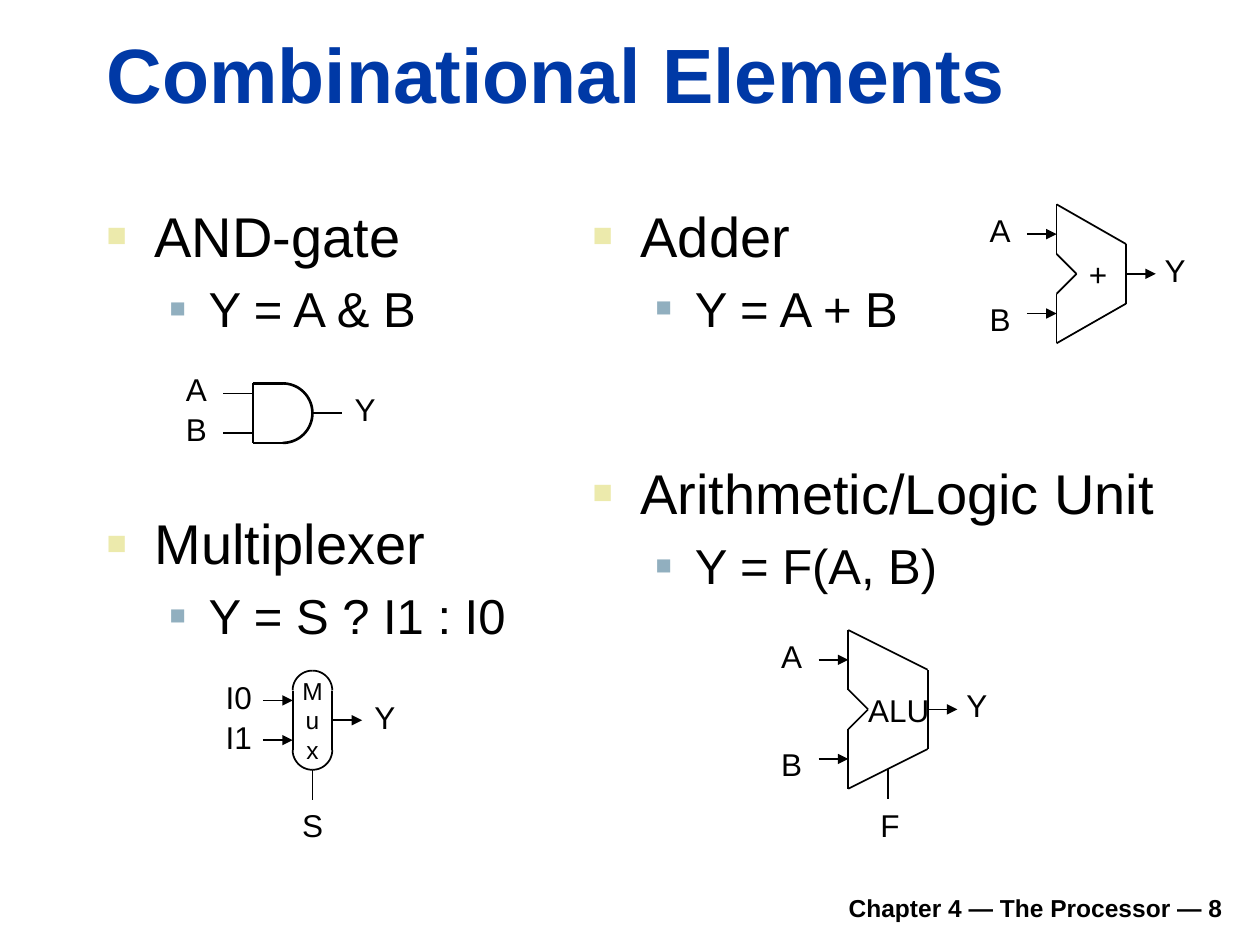
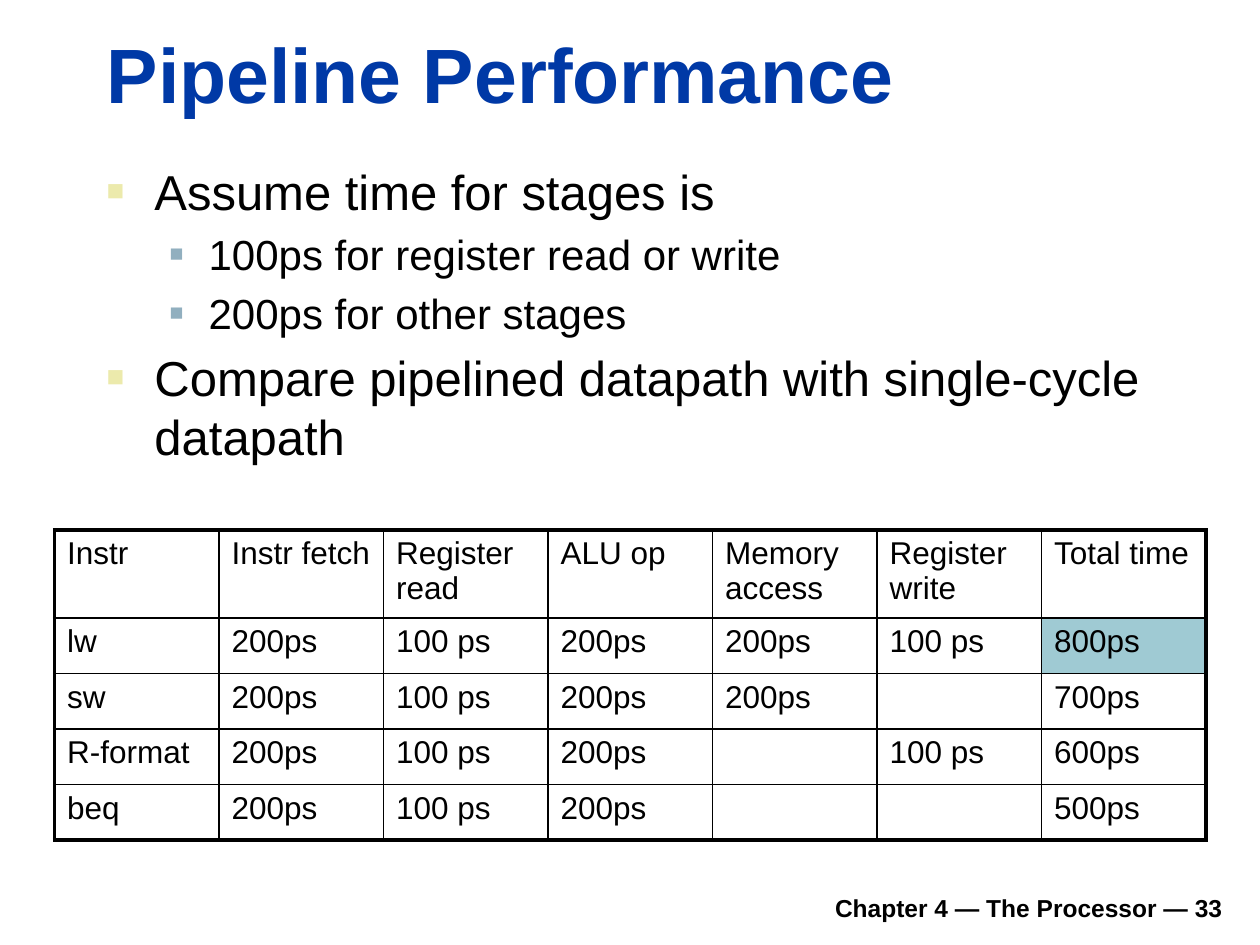
import dataclasses
import math
import typing

import lxml.etree
import pptx
import pptx.dml.color
import pptx.enum.shapes
import pptx.enum.text
import pptx.oxml.ns
import pptx.util

Align = pptx.enum.text.PP_ALIGN
Anchor = pptx.enum.text.MSO_ANCHOR
Point = tuple[float, float]


@dataclasses.dataclass(frozen=True)
class Theme:
    font: str = "Arial"
    ink: str = "000000"
    head: str = "0039A6"
    mark: str = "ECEAAC"
    submark: str = "91AFBF"
    accent: str = "9FCAD3"
    title: float = 44
    large: float = 32
    mid: float = 28
    small: float = 24
    label: float = 18
    note: float = 14
    thin: float = 1
    firm: float = 1.5
    bold: float = 2.25
    gap: float = 0.2


THEME = Theme()


@dataclasses.dataclass(frozen=True)
class Box:
    left: float
    top: float
    width: float
    height: float

    def place(self) -> tuple[int, int, int, int]:
        return cell(self.left), cell(self.top), cell(self.width), cell(self.height)


@dataclasses.dataclass(frozen=True)
class Level:
    indent: float
    hang: float
    tint: str
    share: int


@dataclasses.dataclass(frozen=True)
class Item:
    text: str
    size: float
    level: int = 0


@dataclasses.dataclass(frozen=True)
class Label:
    text: str
    left: float
    top: float
    width: float = 4.7
    inset: bool = True


@dataclasses.dataclass(frozen=True)
class Wire:
    start: Point
    end: Point
    arrow: bool = False
    width: float = THEME.thin


LEVELS = (Level(0.38, 0.38, THEME.mark, 60), Level(0.81, 0.31, THEME.submark, 55))
TITLE = Box(9.5, 2.1, 114.7, 10.54)
FOOTER = Box(23.5, 88.65, 101, 4.95)
LEFT, RIGHT = 9.5, 58.5
GRID = Box(5.5, 53.4, 116.08, 31.25)
HEADER_ROW, BODY_ROW = 8.89, 5.59

TOPICS = (
    (Box(LEFT, 19.69, 43.05, 18.03), "AND-gate", "Y = A & B"),
    (Box(LEFT, 50.67, 44.96, 18.03), "Multiplexer", "Y = S ? I1 : I0"),
    (Box(RIGHT, 19.65, 43.05, 18.03), "Adder", "Y = A + B"),
    (Box(RIGHT, 45.6, 59.94, 18.03), "Arithmetic/Logic Unit", "Y = F(A, B)"),
)
POINTS = (
    Item("Assume time for stages is", THEME.mid),
    Item("100ps for register read or write", THEME.small, 1),
    Item("200ps for other stages", THEME.small, 1),
    Item("Compare pipelined datapath with single-cycle datapath", THEME.mid),
)
TIMES = (
    ("Instr", "Instr fetch", "Register read", "ALU op", "Memory access", "Register write", "Total time"),
    ("lw", "200ps", "100 ps", "200ps", "200ps", "100 ps", "800ps"),
    ("sw", "200ps", "100 ps", "200ps", "200ps", "", "700ps"),
    ("R-format", "200ps", "100 ps", "200ps", "", "100 ps", "600ps"),
    ("beq", "200ps", "100 ps", "200ps", "", "", "500ps"),
)


def cell(count: float) -> int:
    return int(pptx.util.Mm(2 * count))


def tint(code: str) -> pptx.dml.color.RGBColor:
    return pptx.dml.color.RGBColor.from_string(code)


def child(parent: typing.Any, tag: str, **values: str) -> typing.Any:
    node = lxml.etree.SubElement(parent, pptx.oxml.ns.qn(tag))
    for key, value in values.items():
        node.set(key, value)
    return node


def write(para: typing.Any, text: str, *, size: float = THEME.label, ink: str = THEME.ink,
          bold: bool = False, align: typing.Any = Align.LEFT, before: float = 0) -> None:
    para.alignment = align
    para.space_before = pptx.util.Pt(before)
    run = para.add_run()
    run.text = text
    run.font.name = THEME.font
    run.font.size = pptx.util.Pt(size)
    run.font.bold = bold
    run.font.color.rgb = tint(ink)


def frame(slide: typing.Any, box: Box, wrap: bool = True, inset: bool = True) -> typing.Any:
    area = slide.shapes.add_textbox(*box.place()).text_frame
    area.word_wrap = wrap
    if not inset:
        area.margin_left = area.margin_right = area.margin_top = area.margin_bottom = 0
    return area


def bullet(para: typing.Any, level: Level) -> None:
    props = para._p.get_or_add_pPr()
    props.set("marL", str(pptx.util.Inches(level.indent)))
    props.set("indent", str(-pptx.util.Inches(level.hang)))
    child(child(props, "a:buClr"), "a:srgbClr", val=level.tint)
    child(props, "a:buSzPct", val=str(level.share * 1000))
    child(props, "a:buFont", typeface=THEME.font)
    child(props, "a:buChar", char="■")


def outline(slide: typing.Any, box: Box, items: typing.Sequence[Item]) -> None:
    area = frame(slide, box)
    for index, item in enumerate(items):
        para = area.add_paragraph() if index else area.paragraphs[0]
        para.level = item.level
        bullet(para, LEVELS[item.level])
        write(para, item.text, size=item.size, before=THEME.gap * item.size if index else 0)


def start(deck: typing.Any, title: str, number: int) -> typing.Any:
    slide = deck.slides.add_slide(deck.slide_layouts[5])
    head = slide.shapes.title
    head.left, head.top, head.width, head.height = TITLE.place()
    head.text_frame.vertical_anchor = Anchor.BOTTOM
    head.text_frame.auto_size = pptx.enum.text.MSO_AUTO_SIZE.NONE
    write(head.text_frame.paragraphs[0], title, size=THEME.title, ink=THEME.head, bold=True)
    foot = frame(slide, FOOTER)
    foot.vertical_anchor = Anchor.BOTTOM
    write(foot.paragraphs[0], f"Chapter 4 — The Processor — {number}",
          size=THEME.note, bold=True, align=Align.RIGHT)
    return slide


def arc(slide: typing.Any, hub: Point, radius: float, first: int, last: int,
        width: float = THEME.thin) -> None:
    turns = [math.radians(angle) for angle in range(first, last + 1, 5)]
    spots = [(cell(hub[0] + radius * math.cos(turn)), cell(hub[1] + radius * math.sin(turn)))
             for turn in turns]
    pen = slide.shapes.build_freeform(*spots[0])
    pen.add_line_segments(spots[1:], close=False)
    curve = pen.convert_to_shape()
    curve.shadow.inherit = False
    curve.fill.background()
    curve.line.color.rgb = tint(THEME.ink)
    curve.line.width = pptx.util.Pt(width)


def figure(slide: typing.Any, base: Point, wires: typing.Sequence[Wire],
           labels: typing.Sequence[Label]) -> None:
    left, top = base
    for wire in wires:
        ends = [cell(base[axis] + end[axis]) for end in (wire.start, wire.end) for axis in (0, 1)]
        line = slide.shapes.add_connector(pptx.enum.shapes.MSO_CONNECTOR.STRAIGHT, *ends)
        line.line.color.rgb = tint(THEME.ink)
        line.line.width = pptx.util.Pt(wire.width)
        if wire.arrow:
            child(line.line._get_or_add_ln(), "a:tailEnd", type="triangle")
        child(line._element.spPr, "a:effectLst")
    for label in labels:
        box = Box(left + label.left, top + label.top, label.width, 5.1 if label.inset else 3.8)
        area = frame(slide, box, wrap=False, inset=label.inset)
        write(area.paragraphs[0], label.text)


def gate(slide: typing.Any, base: Point) -> None:
    left, top = base
    arc(slide, (left + 6, top + 3), 3, -90, 90, THEME.firm)
    sides = [Wire((3, row), (6, row), width=THEME.firm) for row in (0, 6)]
    pins = [Wire((0, row), (3, row)) for row in (1, 5)]
    figure(slide, base,
           sides + pins + [Wire((3, 0), (3, 6)), Wire((9, 3), (12, 3))],
           [Label("A", -5, -2), Label("B", -5, 2.05), Label("Y", 12, 0)])


def mux(slide: typing.Any, base: Point) -> None:
    left, top = base
    for row, first in ((2, 180), (8, 0)):
        for angle in (first, first + 90):
            arc(slide, (left + 5, top + row), 2, angle, angle + 90)
    area = frame(slide, Box(left + 3, top, 4, 9.4), inset=False)
    area.margin_top = pptx.util.Inches(0.04)
    for index, letter in enumerate("Mux"):
        para = area.add_paragraph() if index else area.paragraphs[0]
        write(para, letter, size=THEME.note, align=Align.CENTER)
    sides = [Wire((col, 2), (col, 8)) for col in (3, 7)]
    pins = [Wire((0, row), (3, row), True) for row in (3, 7)]
    figure(slide, base,
           sides + pins + [Wire((7, 5), (10, 5), True), Wire((5, 13), (5, 10))],
           [Label("I0", -5, 0.1, 5.2), Label("I1", -5, 4.15, 5.2),
            Label("Y", 10, 2.1), Label("S", 2.7, 13.05)])


def wedge(slide: typing.Any, base: Point, width: float, height: float,
          drop: float, labels: typing.Sequence[Label]) -> None:
    mid, side = height / 2, 3 + width
    ring = [(3, 0), (3, mid - 2), (5, mid), (3, mid + 2), (3, height),
            (side, height - 4), (side, 4)]
    wires = [Wire(here, there) for here, there in zip(ring, ring[1:] + ring[:1])]
    wires += [Wire((0, row), (3, row), True) for row in (3, height - 3)]
    wires.append(Wire((side, mid), (side + 3, mid), True))
    if drop:
        wires.append(Wire((7, height - 2), (7, height - 2 + drop)))
    shared = [Label("A", -5, 0.05), Label("B", -5, height - 5),
              Label("Y", side + 2.65, mid - 2.95)]
    figure(slide, base, wires, shared + list(labels))


def edge(spot: typing.Any, tag: str, width: float) -> None:
    line = child(spot._tc.get_or_add_tcPr(), tag, w=str(pptx.util.Pt(width)))
    child(child(line, "a:solidFill"), "a:srgbClr", val=THEME.ink)


def chart_times(slide: typing.Any) -> None:
    last_row, last_col = len(TIMES) - 1, len(TIMES[0]) - 1
    table = slide.shapes.add_table(last_row + 1, last_col + 1, *GRID.place()).table
    table.first_row = table.horz_banding = False
    for col in table.columns:
        col.width = cell(GRID.width / (last_col + 1))
    for row, texts in enumerate(TIMES):
        table.rows[row].height = cell(BODY_ROW if row else HEADER_ROW)
        for col, text in enumerate(texts):
            spot = table.cell(row, col)
            edge(spot, "a:lnL", THEME.thin if col else THEME.bold)
            edge(spot, "a:lnR", THEME.bold if col == last_col else THEME.thin)
            edge(spot, "a:lnT", {0: THEME.bold, 1: THEME.firm}.get(row, THEME.thin))
            edge(spot, "a:lnB", {0: THEME.firm, last_row: THEME.bold}.get(row, THEME.thin))
            if (row, col) == (1, last_col):
                spot.fill.solid()
                spot.fill.fore_color.rgb = tint(THEME.accent)
            else:
                spot.fill.background()
            if text:
                write(spot.text_frame.paragraphs[0], text)


def main() -> None:
    deck = pptx.Presentation()
    deck.slide_width, deck.slide_height = pptx.util.Inches(10), pptx.util.Inches(7.5)

    parts = start(deck, "Combinational Elements", 8)
    for box, name, rule in TOPICS:
        outline(parts, box, [Item(name, THEME.large), Item(rule, THEME.mid, 1)])
    gate(parts, (22.5, 38.65))
    mux(parts, (26.5, 67.6))
    wedge(parts, (103.5, 20.6), 7, 14, 0, [Label("+", 6.25, 5.1, 1.9, False)])
    wedge(parts, (82.5, 63.5), 8, 16, 3,
          [Label("ALU", 5, 6.15, 6.2, False), Label("F", 5, 17.1, 4.4)])

    speed = start(deck, "Pipeline Performance", 33)
    outline(speed, Box(LEFT, 15.62, 114.94, 35.18), POINTS)
    chart_times(speed)
    deck.save("out.pptx")


if __name__ == "__main__":
    main()
